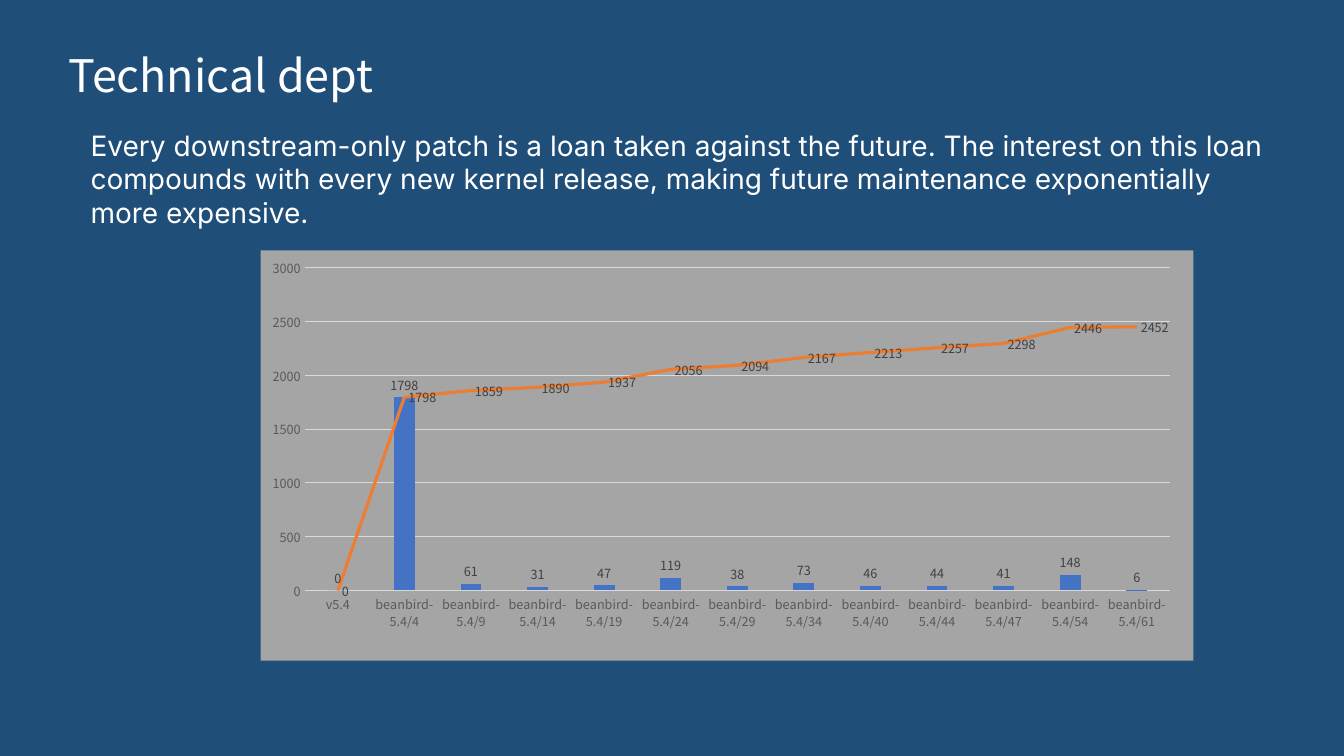
import dataclasses

import lxml.etree
import pptx
import pptx.chart.data
import pptx.dml.color
import pptx.enum.chart
import pptx.enum.text
import pptx.oxml
import pptx.oxml.ns
import pptx.util


@dataclasses.dataclass(frozen=True)
class Theme:
    background: str = "1F4E79"
    text: str = "FFFFFF"
    panel: str = "A5A5A5"
    bars: str = "4472C4"
    line: str = "ED7D31"
    grid: str = "D9D9D9"
    axis_text: str = "595959"
    label_text: str = "404040"
    chart_text: str = "000000"
    heading_font: str = "Noto Sans CJK KR"
    body_font: str = "Inter"
    title_size: int = 32
    body_size: int = 20
    chart_size: int = 10
    label_size: int = 9


theme = Theme()
color = pptx.dml.color.RGBColor.from_string
qn = pptx.oxml.ns.qn


def format_font(font, size, rgb, name=theme.heading_font):
    font.size = pptx.util.Pt(size)
    font.color.rgb = color(rgb)
    font.name = name


def write_text(shape, text, *, size, name, anchor, inset):
    """Fill a shape with one left-aligned paragraph; inset is the top and bottom margin."""
    frame = shape.text_frame
    frame.word_wrap = True
    frame.auto_size = pptx.enum.text.MSO_AUTO_SIZE.SHAPE_TO_FIT_TEXT
    frame.vertical_anchor = anchor
    frame.margin_left = frame.margin_right = pptx.util.Inches(0.1)
    frame.margin_top = frame.margin_bottom = pptx.util.Inches(inset)
    paragraph = frame.paragraphs[0]
    paragraph.alignment = pptx.enum.text.PP_ALIGN.LEFT
    run = paragraph.add_run()
    run.text = text
    format_font(run.font, size, theme.text, name)


presentation = pptx.Presentation()
presentation.slide_width = width = pptx.util.Inches(13.33)
presentation.slide_height = height = pptx.util.Inches(7.5)
slide = presentation.slides.add_slide(presentation.slide_layouts.get_by_name("Title Only"))
slide.background.fill.solid()
slide.background.fill.fore_color.rgb = color(theme.background)

# Title and statement
title = slide.shapes.title
title.left, title.top = int(width * 0.0435), int(height * 0.056)
title.width, title.height = int(width * 0.55), int(height * 0.085)
write_text(title, "Technical dept", size=theme.title_size, name=theme.heading_font,
           anchor=pptx.enum.text.MSO_ANCHOR.MIDDLE, inset=0)

statement = slide.shapes.add_textbox(
    int(width * 0.06), int(height * 0.163), int(width * 0.9), int(height * 0.103))
write_text(statement,
           "Every downstream-only patch is a loan taken against the future. "
           "The interest on this loan compounds with every new kernel release, "
           "making future maintenance exponentially more expensive.",
           size=theme.body_size, name=theme.body_font,
           anchor=pptx.enum.text.MSO_ANCHOR.TOP, inset=0.05)

# Patches per release and their running total
releases = [4, 9, 14, 19, 24, 29, 34, 40, 44, 47, 54, 61]
chart_data = pptx.chart.data.CategoryChartData()
chart_data.categories = ["v5.4"] + [f"beanbird-5.4/{release}" for release in releases]
chart_data.add_series("Series 1", [0, 1798, 61, 31, 47, 119, 38, 73, 46, 44, 41, 148, 6])
chart_data.add_series("Series 2", [0, 1798, 1859, 1890, 1937, 2056, 2094,
                                   2167, 2213, 2257, 2298, 2446, 2452])
chart = slide.shapes.add_chart(
    pptx.enum.chart.XL_CHART_TYPE.COLUMN_CLUSTERED,
    int(width * 0.194), int(height * 0.331), int(width * 0.694), int(height * 0.543),
    chart_data).chart
chart.has_title = False
chart.has_legend = False
format_font(chart.font, theme.chart_size, theme.chart_text)

# Move the running total into a line plot on the same axes
bar_plot = chart.plots[0]
bar_plot.gap_width = 219
bar_plot.overlap = -27
bar_plot.vary_by_categories = False
bar_element = chart.element.find(".//" + qn("c:barChart"))
total_element = bar_element.findall(qn("c:ser"))[1]
for bar_only in total_element.findall(qn("c:invertIfNegative")):
    total_element.remove(bar_only)
line_element = pptx.oxml.parse_xml(
    f'<c:lineChart {pptx.oxml.ns.nsdecls("c")}><c:grouping val="standard"/>'
    '<c:varyColors val="0"/><c:marker val="1"/></c:lineChart>')
line_element.insert(2, total_element)
for axis_id in bar_element.findall(qn("c:axId")):
    lxml.etree.SubElement(line_element, qn("c:axId")).set("val", axis_id.get("val"))
bar_element.addnext(line_element)

patches = chart.plots[0].series[0]
patches.format.fill.solid()
patches.format.fill.fore_color.rgb = color(theme.bars)
total = chart.plots[1].series[0]
total.smooth = False
total.marker.style = pptx.enum.chart.XL_MARKER_STYLE.NONE
total.format.line.color.rgb = color(theme.line)
total.format.line.width = pptx.util.Pt(2.25)

label_position = pptx.enum.chart.XL_LABEL_POSITION
for series, position in ((patches, label_position.OUTSIDE_END), (total, label_position.RIGHT)):
    labels = series.data_labels
    labels.show_value = True
    labels.position = position
    format_font(labels.font, theme.label_size, theme.label_text)

# Axes
value_axis = chart.value_axis
value_axis.minimum_scale, value_axis.maximum_scale, value_axis.major_unit = 0, 3000, 500
value_axis.has_major_gridlines = True
value_axis.format.line.fill.background()
for axis in (chart.category_axis, value_axis):
    axis.major_tick_mark = axis.minor_tick_mark = pptx.enum.chart.XL_TICK_MARK.NONE
    format_font(axis.tick_labels.font, theme.label_size, theme.axis_text)
for line in (chart.category_axis.format.line, value_axis.major_gridlines.format.line):
    line.color.rgb = color(theme.grid)
    line.width = pptx.util.Pt(0.75)

# Grey panel and plot placement
chart.element.find(qn("c:chart")).addnext(pptx.oxml.parse_xml(
    f'<c:spPr {pptx.oxml.ns.nsdecls("c", "a")}><a:solidFill><a:srgbClr val="{theme.panel}"/>'
    '</a:solidFill><a:ln><a:noFill/></a:ln></c:spPr>'))
plot_area = chart.element.find(".//" + qn("c:plotArea"))
for old_layout in plot_area.findall(qn("c:layout")):
    plot_area.remove(old_layout)
layout = lxml.etree.Element(qn("c:layout"))
manual = lxml.etree.SubElement(layout, qn("c:manualLayout"))
for tag, value in (("layoutTarget", "inner"), ("xMode", "edge"), ("yMode", "edge"),
                   ("x", "0.047"), ("y", "0.043"), ("w", "0.928"), ("h", "0.786")):
    lxml.etree.SubElement(manual, qn("c:" + tag)).set("val", value)
plot_area.insert(0, layout)

presentation.save("out.pptx")
